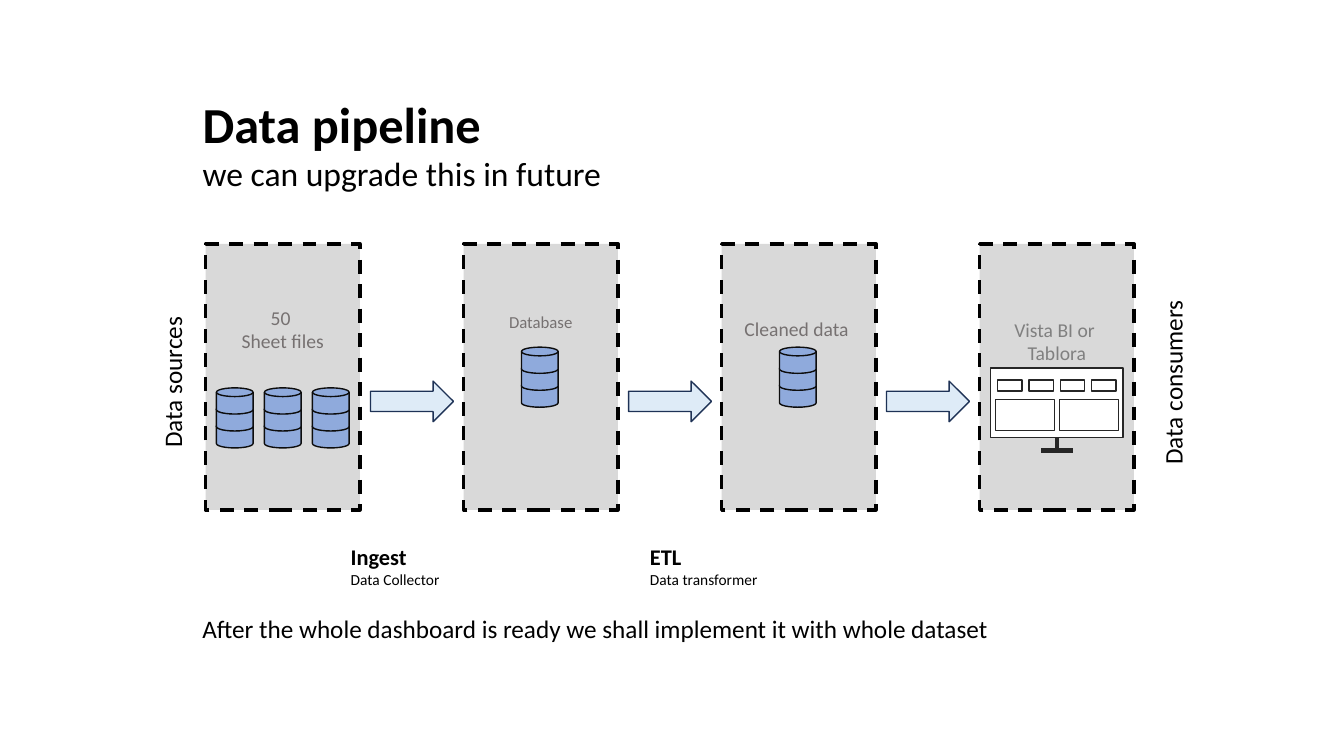
from lxml.etree import SubElement
from pptx import Presentation
from pptx.dml.color import RGBColor
from pptx.enum.dml import MSO_LINE
from pptx.enum.shapes import MSO_CONNECTOR, MSO_SHAPE
from pptx.enum.text import MSO_ANCHOR, MSO_AUTO_SIZE, PP_ALIGN
from pptx.oxml.ns import qn
from pptx.util import Pt

FONT = "Calibri"
BLACK, DARK, WHITE = "000000", "262626", "FFFFFF"
STAGE_WIDTH, STAGE_HEIGHT, STAGE_PITCH = 110.2, 190, 184.3
STAGES_LEFT, STAGES_TOP = 146.9, 174.2

# Lines, size, colour, room kept free below the text
STAGES = [
    (["50 ", "Sheet files"], 14, "767171", 68.4),
    (["Database"], 12, "767171", 78),
    (["Cleaned data "], 14, "767171", 68.4),
    (["Vista BI or ", "Tablora"], 14, "808080", 51.3),
]


def colour(value):
    return RGBColor.from_string(value)


def add_block(page, kind, left, top, width, height, fill, line, weight=1):
    block = page.shapes.add_shape(kind, Pt(left), Pt(top), Pt(width), Pt(height))
    block.shadow.inherit = False
    block.fill.solid()
    block.fill.fore_color.rgb = colour(fill)
    block.line.color.rgb = colour(line)
    block.line.width = Pt(weight)
    return block


def write_lines(frame, lines, text_colour=BLACK, align=PP_ALIGN.LEFT):
    """Fill a frame with one paragraph per (text, size, bold) line."""
    for index, (text, size, bold) in enumerate(lines):
        para = frame.add_paragraph() if index else frame.paragraphs[0]
        para.alignment = align
        span = para.add_run()
        span.text = text
        span.font.color.rgb = colour(text_colour)
        for name, value in {"name": FONT, "size": Pt(size), "bold": bold}.items():
            setattr(span.font, name, value)


def add_label(page, left, top, width, height, lines, rotation=0):
    label = page.shapes.add_textbox(Pt(left), Pt(top), Pt(width), Pt(height))
    label.rotation = rotation
    label.text_frame.word_wrap = not rotation
    label.text_frame.auto_size = MSO_AUTO_SIZE.SHAPE_TO_FIT_TEXT
    write_lines(label.text_frame, lines)


def add_heading(page, left, top, width, height):
    title = page.shapes.title
    place = {"left": left, "top": top, "width": width, "height": height}
    for name, value in place.items():
        setattr(title, name, Pt(value))
    frame = title.text_frame
    settings = {"word_wrap": True, "auto_size": MSO_AUTO_SIZE.NONE,
                "vertical_anchor": MSO_ANCHOR.TOP}
    for name, value in settings.items():
        setattr(frame, name, value)
    write_lines(frame, [("Data pipeline", 36, True),
                        ("we can upgrade this in future", 24, False)])


def add_stage(page, left, top, lines, size, text_colour, room_below):
    stage = add_block(page, MSO_SHAPE.RECTANGLE, left, top, STAGE_WIDTH,
                      STAGE_HEIGHT, "D9D9D9", BLACK, 2.5)
    stage.line.dash_style = MSO_LINE.DASH
    frame = stage.text_frame
    frame.word_wrap = True
    frame.vertical_anchor = MSO_ANCHOR.MIDDLE
    frame.margin_bottom = Pt(3.6 + room_below)
    write_lines(frame, [(text, size, False) for text in lines],
                text_colour, PP_ALIGN.CENTER)


def add_database(page, center_x, center_y):
    """Stack three upturned drums around a centre, lowest first."""
    width, height, pitch = 18.7, 26.2, 12.1
    for step in (1, 0, -1):
        drum = add_block(page, MSO_SHAPE.FLOWCHART_DIRECT_ACCESS_STORAGE,
                         center_x - width / 2,
                         center_y + step * pitch - height / 2,
                         width, height, "8FAADC", "0D0D0D")
        drum.rotation = 270


def add_bar(page, start_x, start_y, end_x, end_y):
    bar = page.shapes.add_connector(MSO_CONNECTOR.STRAIGHT, Pt(start_x),
                                    Pt(start_y), Pt(end_x), Pt(end_y))
    bar.line.color.rgb = colour(DARK)
    bar.line.width = Pt(3)
    SubElement(bar._element.spPr, qn("a:effectLst"))
    return bar


def add_monitor(page, left, top, width, height):
    def add_pane(x, y, pane_width, pane_height):
        return add_block(page, MSO_SHAPE.RECTANGLE, left + x, top + y,
                         pane_width, pane_height, WHITE, DARK)

    screen = add_pane(0, 0, width, height)
    for column in range(2):
        add_pane(3.3 + 45.9 * column, 22.4, 42.4, 22)
    for column in range(4):
        add_pane(5 + 22.4 * column, 8.5, 17.5, 7.8)
    middle, bottom = left + width / 2, top + height
    foot = bottom + 9.2
    add_bar(page, middle - 11.2, foot, middle + 11.2, foot)
    neck = add_bar(page, middle, bottom, middle, foot)
    neck.begin_connect(screen, 2)


def add_pipeline(page, left, top):
    stage_lefts = [left + index * STAGE_PITCH for index in range(len(STAGES))]
    centers = [stage_left + STAGE_WIDTH / 2 for stage_left in stage_lefts]
    for stage_left, stage in zip(stage_lefts, STAGES):
        add_stage(page, stage_left, top, *stage)
    for stage_left in stage_lefts[:-1]:
        add_block(page, MSO_SHAPE.RIGHT_ARROW, stage_left + 117.8, top + 98,
                  59.2, 29, "DEEBF7", "1E3256")
    for step in (-1, 0, 1):
        add_database(page, centers[0] + step * 34.3, top + 124.3)
    for center in centers[1:3]:
        add_database(page, center - 0.7, top + 95.2)
    add_monitor(page, stage_lefts[-1] + 7.8, top + 88.8, 94.6, 49.6)


def add_captions(page):
    for left, width, name, role in [
        (243.4, 106.6, "Ingest", "Data Collector"),
        (457.2, 119.5, "ETL", "Data transformer"),
    ]:
        add_label(page, left, 384.5, width, 49.7,
                  [(name, 16, True), (role, 11, False)])
    for left, width, text in [(68.4, 109.4, "Data sources"),
                              (771.1, 133.2, "Data consumers")]:
        add_label(page, left, 257.8, width, 29, [(text, 18, False)], 270)
    add_label(page, 137.5, 434.2, 715, 29, [(
        "After the whole dashboard is ready we shall implement it "
        "with whole dataset", 18, False)])


def main():
    deck = Presentation()
    deck.slide_width, deck.slide_height = Pt(960), Pt(540)
    page = deck.slides.add_slide(deck.slide_layouts[5])
    add_heading(page, 137.5, 62.6, 715, 80)
    add_pipeline(page, STAGES_LEFT, STAGES_TOP)
    add_captions(page)
    deck.save("out.pptx")


if __name__ == "__main__":
    main()
